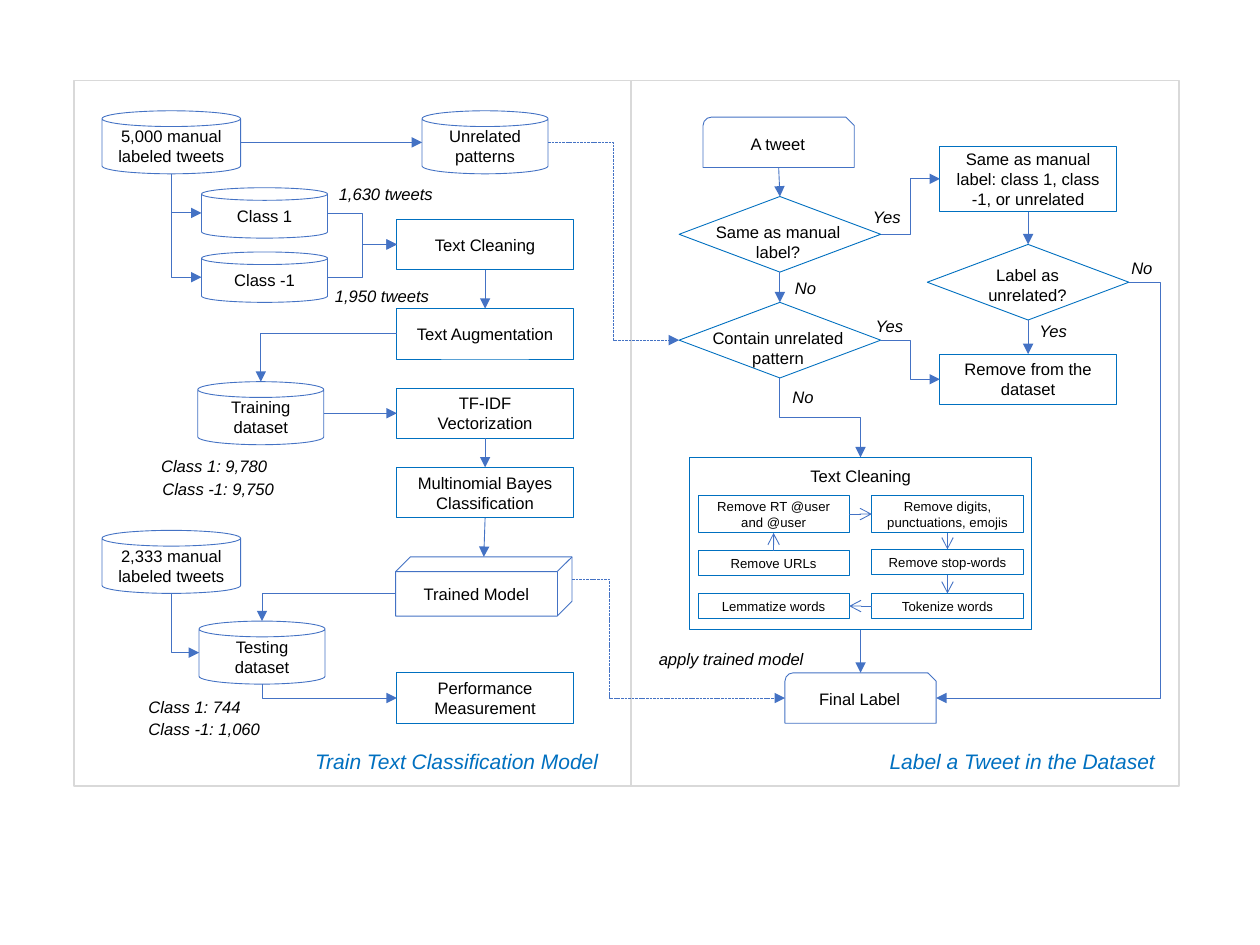
"""Draw the flow chart of training a tweet model and labeling a tweet."""
from dataclasses import dataclass
from typing import NamedTuple

from lxml.etree import SubElement
from pptx import Presentation
from pptx.dml.color import RGBColor
from pptx.enum.dml import MSO_LINE
from pptx.enum.shapes import MSO_CONNECTOR, MSO_SHAPE
from pptx.enum.text import MSO_ANCHOR, MSO_AUTO_SIZE, PP_ALIGN
from pptx.oxml.ns import qn
from pptx.util import Inches, Pt

COLS, ROWS = 100, 75
WIDE, HIGH = Inches(10), Inches(7.5)


@dataclass(frozen=True)
class Theme:
    font: str = "Arial"
    ink: RGBColor = RGBColor(0, 0, 0)
    paper: RGBColor = RGBColor(255, 255, 255)
    frame: RGBColor = RGBColor(0xD9, 0xD9, 0xD9)
    blue: RGBColor = RGBColor(0, 0x70, 0xC0)
    steel: RGBColor = RGBColor(0x44, 0x72, 0xC4)
    head: float = 12
    body: float = 9.5
    small: float = 7.5
    thin: float = 0.5
    thick: float = 1


THEME = Theme()


class Kind(NamedTuple):
    form: MSO_SHAPE
    w: float
    h: float
    line: RGBColor = THEME.blue
    size: float = THEME.body


class Node(NamedTuple):
    kind: Kind
    x: float
    y: float
    text: str = ""


class Note(NamedTuple):
    x: float
    y: float
    w: float
    text: str
    slant: bool = True
    wrap: bool = True


class Flow(NamedTuple):
    start: str
    out: str
    end: str
    into: str
    route: str = "line"
    bend: float = 0.5
    dash: bool = False
    tip: str = "triangle"


STEP = Kind(MSO_SHAPE.RECTANGLE, 14, 4)
CHECK = Kind(MSO_SHAPE.RECTANGLE, 14, 5.2)
PANE = Kind(MSO_SHAPE.RECTANGLE, 27.2, 13.7)
TINY = Kind(MSO_SHAPE.RECTANGLE, 12, 2, size=THEME.small)
PAIR = Kind(MSO_SHAPE.RECTANGLE, 12, 3, size=THEME.small)
GATE = Kind(MSO_SHAPE.DIAMOND, 16, 6)
STORE = Kind(MSO_SHAPE.CAN, 10, 5, THEME.steel)
SOURCE = Kind(MSO_SHAPE.CAN, 11, 5, THEME.steel)
CLASS = Kind(MSO_SHAPE.CAN, 10, 4, THEME.steel)
MODEL = Kind(MSO_SHAPE.CUBE, 14, 4.7, THEME.steel)
CARD = Kind(MSO_SHAPE.SNIP_ROUND_RECTANGLE, 12, 4, THEME.steel)

PANELS = [(50.1, 43.5), (5.9, 44.2)]
HEADS = {1: (24, 24.7, "Train Text Classification Model"),
         3: (69.6, 23.3, "Label a Tweet in the Dataset")}

NODES = {
    "train raw": Node(SOURCE, 8.1, 8.8, "5,000 manual labeled tweets"),
    "pattern": Node(STORE, 33.5, 8.8, "Unrelated patterns"),
    "plus": Node(CLASS, 16, 14.9, "Class 1"),
    "minus": Node(CLASS, 16, 20, "Class -1"),
    "clean": Node(STEP, 31.5, 17.4, "Text Cleaning"),
    "augment": Node(STEP, 31.5, 24.5, "Text Augmentation"),
    "train": Node(STORE, 15.7, 30.3, "Training dataset"),
    "vector": Node(STEP, 31.5, 30.8, "TF-IDF Vectorization"),
    "bayes": Node(STEP, 31.5, 37.1, "Multinomial Bayes Classification"),
    "model": Node(MODEL, 31.4, 44.2, "Trained Model"),
    "test raw": Node(SOURCE, 8.1, 42.1, "2,333 manual labeled tweets"),
    "test": Node(STORE, 15.8, 49.3, "Testing dataset"),
    "score": Node(STEP, 31.5, 53.4, "Performance Measurement"),
    "tweet": Node(CARD, 55.8, 9.3, "A tweet"),
    "same": Node(GATE, 53.9, 15.6),
    "contain": Node(GATE, 53.9, 24),
    "match": Node(CHECK, 74.6, 11.6, "Same as manual label: class 1, class -1, or unrelated"),
    "label": Node(GATE, 73.6, 19.4),
    "drop": Node(STEP, 74.6, 28.1, "Remove from the dataset"),
    "pane": Node(PANE, 54.7, 36.3),
    "user": Node(PAIR, 55.4, 39.3, "Remove RT @user and @user"),
    "digit": Node(PAIR, 69.2, 39.3, "Remove digits, punctuations, emojis"),
    "link": Node(TINY, 55.4, 43.7, "Remove URLs"),
    "stop": Node(TINY, 69.2, 43.6, "Remove stop-words"),
    "lemma": Node(TINY, 55.4, 47.1, "Lemmatize words"),
    "token": Node(TINY, 69.2, 47.1, "Tokenize words"),
    "final": Node(CARD, 62.3, 53.4, "Final Label"),
}

FLOWS = [
    Flow("train raw", "right", "pattern", "left"),
    Flow("train raw", "bottom", "plus", "left", "vh"),
    Flow("train raw", "bottom", "minus", "left", "vh"),
    Flow("plus", "right", "clean", "left", "hvh"),
    Flow("minus", "right", "clean", "left", "hvh"),
    Flow("clean", "bottom", "augment", "top"),
    Flow("augment", "left", "train", "top", "hv"),
    Flow("train", "right", "vector", "left"),
    Flow("vector", "bottom", "bayes", "top"),
    Flow("bayes", "bottom", "model", "top"),
    Flow("model", "left", "test", "top", "hv"),
    Flow("test raw", "bottom", "test", "left", "vh"),
    Flow("test", "bottom", "score", "left", "vh"),
    Flow("tweet", "bottom", "same", "top"),
    Flow("same", "bottom", "contain", "top"),
    Flow("same", "right", "match", "left", "hvh"),
    Flow("contain", "right", "drop", "left", "hvh"),
    Flow("contain", "bottom", "pane", "top", "vhv"),
    Flow("match", "bottom", "label", "top"),
    Flow("label", "bottom", "drop", "top"),
    Flow("label", "right", "final", "right", "hvh", -0.163),
    Flow("pane", "bottom", "final", "top"),
    Flow("pattern", "right", "contain", "left", "hvh", dash=True),
    Flow("model", "right", "final", "left", "hvh", 0.175, True),
    Flow("link", "top", "user", "bottom", tip="arrow"),
    Flow("user", "right", "digit", "left", tip="arrow"),
    Flow("digit", "bottom", "stop", "top", tip="arrow"),
    Flow("stop", "bottom", "token", "top", tip="arrow"),
    Flow("token", "left", "lemma", "right", tip="arrow"),
]

NOTES = [
    Note(55.4, 17.1, 12.7, "Same as manual label?", False),
    Note(55.4, 25.5, 12.7, "Contain unrelated pattern", False),
    Note(75.2, 20.5, 12.7, "Label as unrelated?", False),
    Note(63.2, 36.5, 10.2, "Text Cleaning", False, False),
    *(Note(x, y, 4.8, word) for x, y, word in [
        (68.3, 15.9, "Yes"), (68.5, 24.6, "Yes"), (81.5, 25, "Yes"),
        (62.1, 21.6, "No"), (61.9, 30.2, "No"), (88.8, 20, "No")]),
    *(Note(x, y, 14.2, text) for x, y, text in [
        (51.3, 51, "apply trained model"),
        (25.9, 14.1, "1,630 tweets"), (25.6, 22.2, "1,950 tweets"),
        (11.8, 35.7, "Class 1: 9,780"), (11.9, 37.5, "Class -1: 9,750"),
        (10.8, 54.8, "Class 1: 744"), (10.8, 56.6, "Class -1: 1,060")]),
]


def place(x: float, y: float, w: float, h: float) -> list[int]:
    return [round(x / COLS * WIDE), round(y / ROWS * HIGH),
            round(w / COLS * WIDE), round(h / ROWS * HIGH)]


def write(shape, text: str, size: float, color=THEME.ink, slant=False, align=PP_ALIGN.CENTER):
    shape.text_frame.text = text
    para = shape.text_frame.paragraphs[0]
    para.alignment, para.space_before = align, Pt(0)
    font = para.font
    font.name, font.size, font.bold, font.italic = THEME.font, Pt(size), False, slant
    font.color.rgb = color


def draw_node(slide, node: Node):
    kind = node.kind
    shape = slide.shapes.add_shape(kind.form, *place(node.x, node.y, kind.w, kind.h))
    shape.shadow.inherit = False
    shape.fill.background()
    shape.line.color.rgb, shape.line.width = kind.line, Pt(THEME.thin)
    if node.text:
        shape.text_frame.vertical_anchor = MSO_ANCHOR.MIDDLE
        write(shape, node.text, kind.size)


def draw_note(slide, note: Note):
    box = slide.shapes.add_textbox(*place(note.x, note.y, note.w, 2.6 if note.slant or not note.wrap else 4.2))
    box.text_frame.word_wrap = note.wrap
    box.text_frame.auto_size = MSO_AUTO_SIZE.SHAPE_TO_FIT_TEXT
    write(box, note.text, THEME.body, slant=note.slant,
          align=PP_ALIGN.LEFT if note.slant else PP_ALIGN.CENTER)


def find_port(node: Node, side: str) -> list[int]:
    cube = node.kind is MODEL
    part = {"top": (0.5, 0), "bottom": (0.5, 1),
            "left": (0, 0.625 if cube else 0.5), "right": (1, 0.375 if cube else 0.5)}[side]
    return place(node.x + part[0] * node.kind.w, node.y + part[1] * node.kind.h, 0, 0)[:2]


def draw_flow(slide, flow: Flow):
    start, end = find_port(NODES[flow.start], flow.out), find_port(NODES[flow.end], flow.into)
    style = MSO_CONNECTOR.STRAIGHT if flow.route == "line" else MSO_CONNECTOR.ELBOW
    link = slide.shapes.add_connector(style, *start, *end)
    props = link.element.spPr
    geom, frame = props.find(qn("a:prstGeom")), props.find(qn("a:xfrm"))
    if len(flow.route) == 2:
        geom.set("prst", "bentConnector2")
    if len(flow.route) == 3:
        SubElement(geom.find(qn("a:avLst")), qn("a:gd"), name="adj1", fmla=f"val {round(flow.bend * 100000)}")
    if flow.route.startswith("v"):
        w, h = link.width, link.height
        link.left, link.top = link.left + (w - h) // 2, link.top + (h - w) // 2
        link.width, link.height = h, w
        frame.set("rot", "16200000")
        frame.set("flipH", "1")
    link.line.color.rgb, link.line.width = THEME.steel, Pt(THEME.thin)
    if flow.dash:
        link.line.dash_style = MSO_LINE.SQUARE_DOT
    SubElement(props.find(qn("a:ln")), qn("a:tailEnd"), type=flow.tip)
    SubElement(props, qn("a:effectLst"))


def draw_panels(slide):
    for x, w in PANELS:
        panel = slide.shapes.add_shape(MSO_SHAPE.RECTANGLE, *place(x, 6.4, w, 56))
        panel.shadow.inherit = False
        panel.fill.solid()
        panel.fill.fore_color.rgb = THEME.paper
        panel.line.color.rgb, panel.line.width = THEME.frame, Pt(THEME.thick)
    for holder in list(slide.placeholders):
        key = holder.placeholder_format.idx
        if key not in HEADS:
            holder.element.getparent().remove(holder.element)
            continue
        x, w, text = HEADS[key]
        holder.left, holder.top, holder.width, holder.height = place(x, 58.9, w, 3)
        holder.text_frame.word_wrap = False
        holder.text_frame.auto_size = MSO_AUTO_SIZE.NONE
        holder.text_frame.vertical_anchor = MSO_ANCHOR.TOP
        write(holder, text, THEME.head, THEME.blue, True, PP_ALIGN.LEFT)
        panel.element.addnext(holder.element)


def main():
    deck = Presentation()
    deck.slide_width, deck.slide_height = WIDE, HIGH
    slide = deck.slides.add_slide(deck.slide_layouts.get_by_name("Comparison"))
    draw_panels(slide)
    for node in NODES.values():
        draw_node(slide, node)
    for flow in FLOWS:
        draw_flow(slide, flow)
    for note in NOTES:
        draw_note(slide, note)
    deck.save("out.pptx")


if __name__ == "__main__":
    main()
